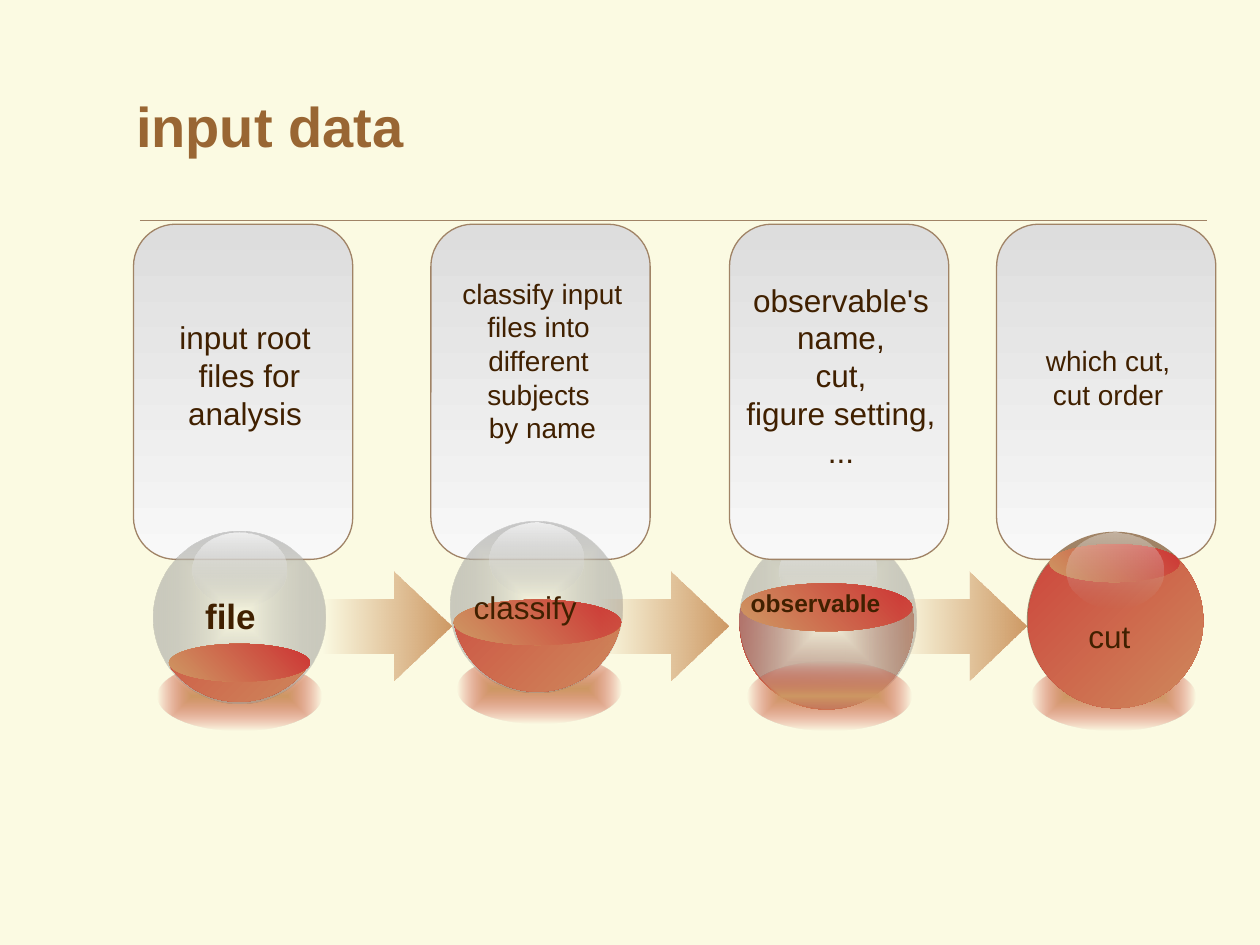
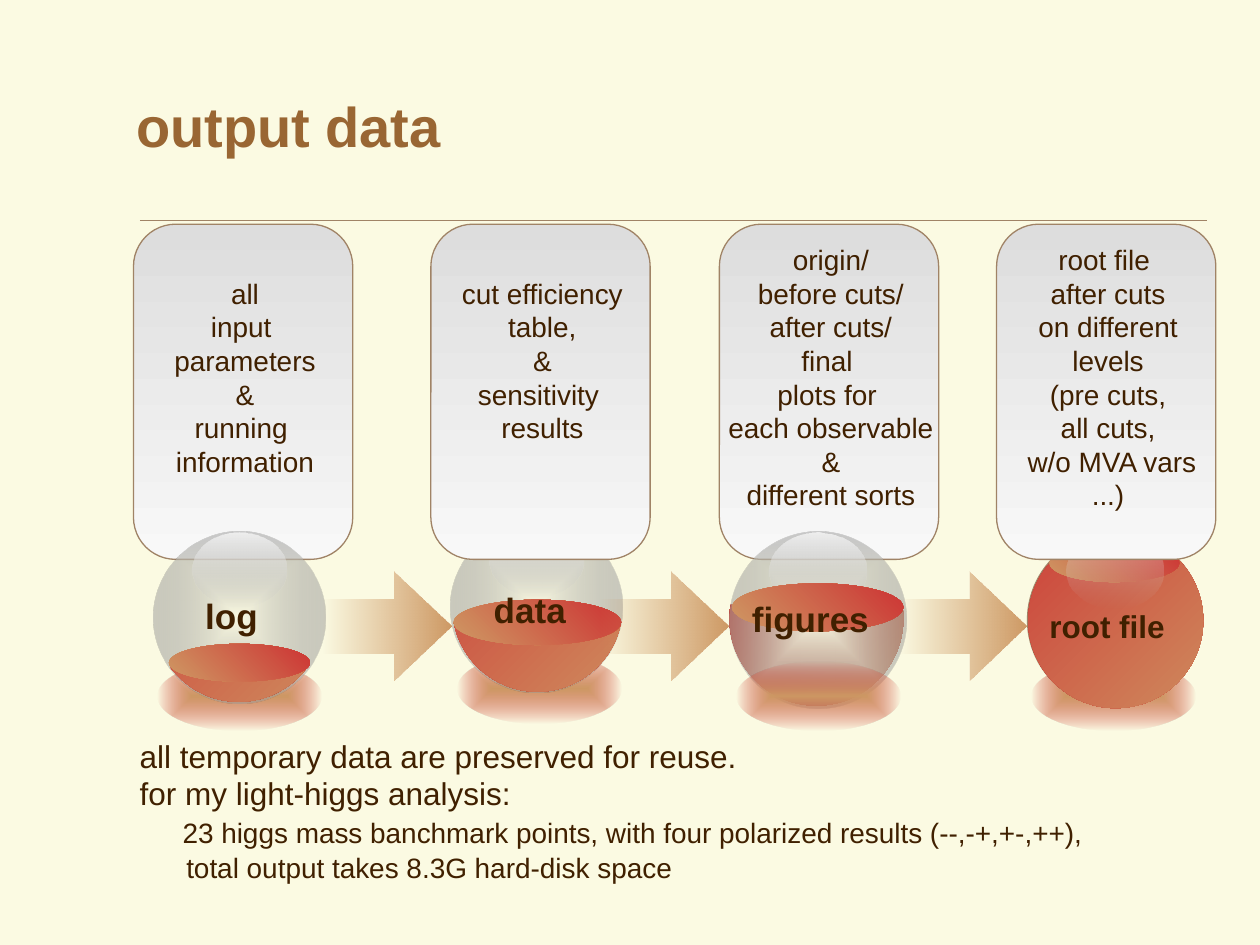
from math import asin, cos, pi, sin, tan

from lxml.etree import SubElement
from pptx import Presentation
from pptx.dml.color import RGBColor
from pptx.enum.shapes import MSO_CONNECTOR, MSO_SHAPE
from pptx.enum.text import MSO_ANCHOR, PP_ALIGN
from pptx.oxml import parse_xml
from pptx.oxml.ns import nsdecls, qn
from pptx.util import Inches, Pt

COLORS = {
    "cream": "FBFAE2",
    "title": "996633",
    "text": "402000",
    "outline": "A08366",
    "red": "CD3333",
    "orange": "CE9964",
    "gray": "969696",
    "silver": "C0C0C0",
    "card_top": "DDDDDD",
    "white": "F8F8F8",
}
FONT = "Arial"
LEADING = 1.2  # line pitch as a multiple of the text size

CARD_TOP, CARD_WIDTH, CARD_HEIGHT = 1.78, 1.74, 2.66
ARROW_LEFTS = [2.56, 4.76, 7.13]

FLASK = ["glow", "glass", "liquid", "surface", "shine"]
LENS = ["liquid", "glass", "glow", "shine", "surface"]
# Glass and liquid (left, top, diameter), liquid level, glow (left, top),
# surface (left, top, width, height), layers from back to front
FILE_ORB = ((1.22, 4.22, 1.36), (1.22, 4.22, 1.35), 5.3, (1.25, 5.25),
            (1.34, 5.11, 1.12, 0.3), FLASK)
CLASSIFY_ORB = ((3.58, 4.14, 1.36), (3.59, 4.14, 1.35), 4.94, (3.63, 5.19),
                (3.6, 4.76, 1.33, 0.36), FLASK)
OBSERVABLE_ORB = ((5.87, 4.22, 1.4), (5.87, 4.25, 1.38), 4.83, (5.93, 5.25),
                  (5.88, 4.63, 1.36, 0.38), LENS)
FIGURES_ORB = ((5.79, 4.22, 1.4), (5.79, 4.22, 1.38), 4.8, (5.85, 5.25),
               (5.81, 4.63, 1.36, 0.38), LENS)
CUT_ORB = ((8.15, 4.22, 1.4), (8.16, 4.23, 1.39), 4.44, (8.19, 5.25),
           (8.33, 4.32, 1.03, 0.3), FLASK)

# Each column: card left, empty lines above, text size, card lines,
# orb, orb in front of the card, label, label box, label size, label bold
SLIDES = [
    ("input data", [
        (1.06, 2, 18, ["input root", " files for", "analysis"],
         FILE_ORB, True, "file", (1.53, 4.67, 0.7, 0.43), 20, True),
        (3.42, 1, 16, ["classify input", "files into ", "different ", "subjects ", "by name"],
         CLASSIFY_ORB, True, "classify", (3.66, 4.62, 1.12, 0.73), 18, False),
        (5.79, 1, 18, ["observable's", "name,", "cut,", "figure setting,", "..."],
         OBSERVABLE_ORB, False, "observable", (5.86, 4.62, 1.41, 0.33), 14, True),
        (7.91, 3, 16, ["which cut,", "cut order"],
         CUT_ORB, True, "cut", (8.54, 4.85, 0.59, 0.4), 18, False),
    ], []),
    ("output data", [
        (1.06, 1, 16, ["all", "input ", "parameters", "&", "running ", "information"],
         FILE_ORB, True, "log", (1.53, 4.67, 0.68, 0.43), 20, True),
        (3.42, 1, 16, ["cut efficiency", "table,", "&", "sensitivity ", "results"],
         CLASSIFY_ORB, False, "data", (3.82, 4.62, 0.91, 0.43), 20, True),
        (5.71, 0, 16, ["origin/", "before cuts/", "after cuts/", "final ", "plots for ",
                       "each observable", "&", "different sorts"],
         FIGURES_ORB, True, "figures", (5.87, 4.69, 1.3, 0.43), 20, True),
        (7.91, 0, 16, ["root file ", "after cuts", "on different", "levels", "(pre cuts,",
                       "all cuts,", " w/o MVA vars", "...)"],
         CUT_ORB, False, "root file", (8.23, 4.77, 1.32, 0.4), 18, True),
    ], [
        # text, size, indent, line pitch in points
        ("all temporary data are preserved for reuse.", 18, 0.03, 21.4),
        ("for my light-higgs analysis:", 18, 0.03, 21.4),
        ("23 higgs mass banchmark points, with four polarized results (--,-+,+-,++),",
         16, 0.37, 21.4),
        ("total output takes 8.3G hard-disk space", 16, 0.4, 20),
    ]),
]


def fill_gradient(shape, start, end, angle=None):
    """Fill from start to end, each (colour, opacity in %); no angle means outward from the centre."""
    stops = "".join(
        f'<a:gs pos="{pos}"><a:srgbClr val="{COLORS[color]}">'
        f'<a:alpha val="{opacity * 1000}"/></a:srgbClr></a:gs>'
        for pos, (color, opacity) in ((0, start), (100000, end)))
    if angle is None:
        direction = ('<a:path path="shape"><a:fillToRect l="50000" t="50000" '
                     'r="50000" b="50000"/></a:path>')
    else:
        direction = f'<a:lin ang="{angle * 60000}" scaled="0"/>'
    shape.fill.background()
    properties = shape._element.spPr
    properties.replace(properties.find(qn("a:noFill")), parse_xml(
        f'<a:gradFill {nsdecls("a")} rotWithShape="1"><a:gsLst>{stops}</a:gsLst>'
        f'{direction}</a:gradFill>'))
    shape.line.fill.background()
    shape.shadow.inherit = False


def format_text(paragraph, size, bold=False, color="text", align=PP_ALIGN.LEFT, indent=0):
    paragraph.alignment = align
    paragraph._p.get_or_add_pPr().set("marL", str(Inches(indent)))
    for run in paragraph.runs:
        run.font.name = FONT
        run.font.size = Pt(size)
        run.font.bold = bold
        run.font.color.rgb = RGBColor.from_string(COLORS[color])


prs = Presentation()
prs.slide_width, prs.slide_height = Inches(10), Inches(7.5)
master = prs.slide_master
master.background.fill.solid()
master.background.fill.fore_color.rgb = RGBColor.from_string(COLORS["cream"])
slides = [prs.slides.add_slide(prs.slide_layouts[5]) for _ in SLIDES]

rule = slides[0].shapes.add_connector(MSO_CONNECTOR.STRAIGHT, Inches(1.11), Inches(1.75),
                                      Inches(9.58), Inches(1.75))
rule.line.color.rgb = RGBColor.from_string(COLORS["outline"])
rule.line.width = Pt(0.25)
SubElement(rule._element.spPr, qn("a:effectLst"))
master.shapes._spTree.append(rule._element)  # shared by all slides

for slide, (heading, columns, notes) in zip(slides, SLIDES):
    shapes = slide.shapes

    title = shapes.title
    title.left, title.top = Inches(0.98), Inches(0.44)
    title.width, title.height = Inches(8.52), Inches(1.11)
    title.text_frame.text = heading
    title.text_frame.vertical_anchor = MSO_ANCHOR.MIDDLE
    format_text(title.text_frame.paragraphs[0], 32, True, "title")

    for (card_left, empty_lines, size, lines, orb, orb_in_front,
         label, label_box, label_size, label_bold) in columns:
        glass, liquid, level, glow, surface, orb_layers = orb
        left, top, diameter = glass
        is_cut = orb is CUT_ORB
        # box, gradient start, gradient end, angle
        ellipses = {
            "glow": ((*glow, 1.3, 0.55), ("orange", 100), ("red", 0), None),
            "glass": ((*glass, diameter), ("cream", 100), ("gray", 48), None),
            "surface": (surface, ("orange", 100), ("red", 100), 315),
            "shine": ((left + 0.225 * diameter, top + 0.01, 0.55 * diameter, 0.43 * diameter),
                      ("white", 40 if is_cut else 80), ("silver", 0), 90),
        }

        layers = ["card", *orb_layers, "label"] if orb_in_front else [*orb_layers, "label", "card"]
        for layer in layers:
            if layer == "card":
                card = shapes.add_shape(MSO_SHAPE.ROUNDED_RECTANGLE, Inches(card_left),
                                        Inches(CARD_TOP), Inches(CARD_WIDTH), Inches(CARD_HEIGHT))
                card.adjustments[0] = 0.192
                fill_gradient(card, ("card_top", 100), ("white", 100), 90)
                card.line.color.rgb = RGBColor.from_string(COLORS["outline"])
                card.line.width = Pt(0.75)
                frame = card.text_frame
                frame.word_wrap = False
                frame.vertical_anchor = MSO_ANCHOR.TOP
                frame.margin_top = Inches(0.05) + Pt(empty_lines * size * LEADING)
                frame.text = "\n".join(lines)
                for paragraph in frame.paragraphs:
                    format_text(paragraph, size, align=PP_ALIGN.CENTER, indent=0.03)
                    paragraph.line_spacing = Pt(size * LEADING)
            elif layer == "label":
                caption = shapes.add_textbox(*map(Inches, label_box))
                caption.text_frame.word_wrap = True
                caption.text_frame.text = label
                format_text(caption.text_frame.paragraphs[0], label_size, label_bold)
            elif layer == "liquid":
                # A circle cut at the liquid level, drawn turned by 45° and turned back
                liquid_left, liquid_top, size_across = liquid
                radius = size_across / 2
                low = asin((level - liquid_top - radius) / radius)
                arcs = 2 if low > 0 else 3
                step = (pi - 2 * low) / arcs
                pull = 4 / 3 * tan(step / 4)
                nodes = []
                for index in range(arcs + 1):
                    a = low + pi / 4 + index * step
                    nodes += [(cos(a) + bend * sin(a), sin(a) - bend * cos(a))
                              for bend in (pull, 0, -pull)]
                builder = shapes.build_freeform(Inches(liquid_left), Inches(liquid_top))
                builder.add_line_segments([(Inches(liquid_left + size_across),
                                            Inches(liquid_top + size_across))], close=True)
                pool = builder.convert_to_shape()
                points = [f'<a:pt x="{Inches(radius * (1 + x))}" y="{Inches(radius * (1 + y))}"/>'
                          for x, y in nodes[1:-1]]
                curves = "".join(f'<a:cubicBezTo>{"".join(points[i:i + 3])}</a:cubicBezTo>'
                                 for i in range(1, len(points), 3))
                contours = pool._element.spPr.find(qn("a:custGeom")).find(qn("a:pathLst"))
                contours.replace(contours[0], parse_xml(
                    f'<a:path {nsdecls("a")} w="{pool.width}" h="{pool.height}">'
                    f'<a:moveTo>{points[0]}</a:moveTo>{curves}<a:close/></a:path>'))
                pool.rotation = 315
                fill_gradient(pool, ("red", 100), ("orange", 100), 90)
            else:
                box, inner, outer, angle = ellipses[layer]
                ellipse = shapes.add_shape(MSO_SHAPE.OVAL, *map(Inches, box))
                fill_gradient(ellipse, inner, outer, angle)
                if is_cut and layer == "glass":
                    ellipse.fill.solid()
                    ellipse.fill.fore_color.rgb = RGBColor.from_string(COLORS["outline"])

    for arrow_left in ARROW_LEFTS:
        arrow = shapes.add_shape(MSO_SHAPE.RIGHT_ARROW, Inches(arrow_left), Inches(4.54),
                                 Inches(1.02), Inches(0.86))
        arrow.adjustments[0], arrow.adjustments[1] = 0.5, 0.53
        fill_gradient(arrow, ("orange", 0), ("orange", 100), 0)

    if notes:
        remarks = shapes.add_textbox(Inches(0.98), Inches(5.8), Inches(8.88), Inches(1.27))
        remarks.text_frame.word_wrap = True
        remarks.text_frame.text = "\n".join(note[0] for note in notes)
        for paragraph, (_, size, indent, pitch) in zip(remarks.text_frame.paragraphs, notes):
            format_text(paragraph, size, indent=indent)
            paragraph.line_spacing = Pt(pitch)

prs.save("out.pptx")
